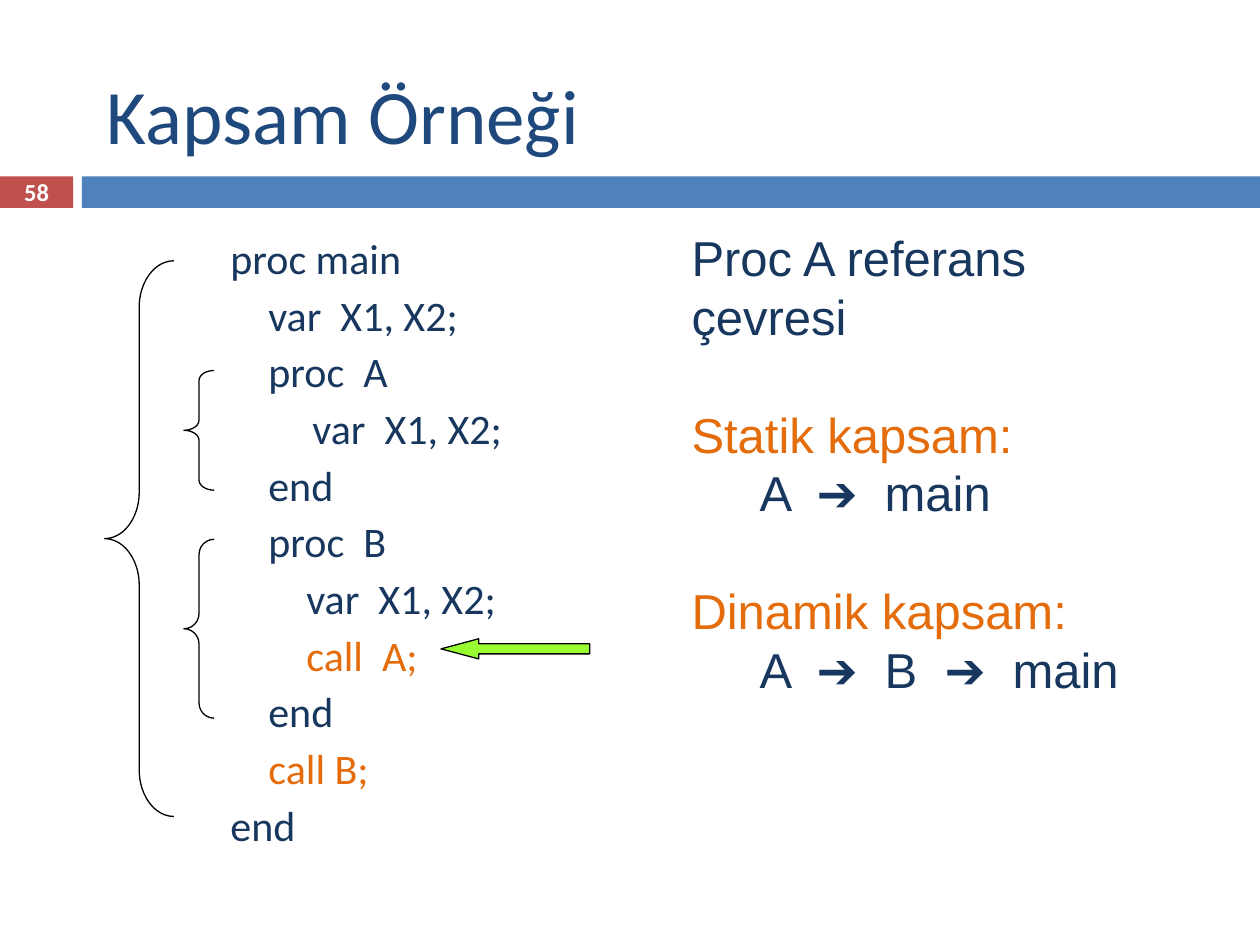
from dataclasses import dataclass

from pptx import Presentation
from pptx.dml.color import RGBColor
from pptx.enum.shapes import MSO_SHAPE
from pptx.enum.text import MSO_ANCHOR, PP_ALIGN
from pptx.util import Emu, Pt

EMU_PER_PX = 9144  # 100 px to the inch
COLORS = {
    "title": "1F497D",
    "text": "17375E",
    "accent": "E46C0A",
    "bar": "4F81BD",
    "badge": "C0504D",
    "arrow": "99FF33",
    "outline": "000000",
    "white": "FFFFFF",
}


@dataclass(frozen=True)
class Box:
    left: int
    top: int
    width: int
    height: int


@dataclass(frozen=True)
class Line:
    text: str
    color: str = "text"
    before: float = 0
    margin: int = 0
    hanging: int = 0


@dataclass(frozen=True)
class Style:
    font: str
    size: int
    bold: bool = False
    spacing: float | Pt | None = None
    anchor: MSO_ANCHOR = MSO_ANCHOR.TOP
    align: PP_ALIGN = PP_ALIGN.LEFT


@dataclass(frozen=True)
class Brace:
    box: Box
    curl: float


def px(length: int) -> Emu:
    return Emu(length * EMU_PER_PX)


def rgb(name: str) -> RGBColor:
    return RGBColor.from_string(COLORS[name])


def place(box: Box) -> tuple[Emu, ...]:
    return px(box.left), px(box.top), px(box.width), px(box.height)


def add_figure(slide, kind: MSO_SHAPE, box: Box, fill: str | None = None,
               outline: str | None = None, adjustments: tuple[float, ...] = ()) -> None:
    figure = slide.shapes.add_shape(kind, *place(box))
    figure.shadow.inherit = False
    for index, value in enumerate(adjustments):
        figure.adjustments[index] = value
    if fill:
        figure.fill.solid()
        figure.fill.fore_color.rgb = rgb(fill)
    else:
        figure.fill.background()
    if outline:
        figure.line.color.rgb = rgb(outline)
        figure.line.width = Pt(0.75)
    else:
        figure.line.fill.background()


def add_text(slide, box: Box, lines: list[Line], style: Style) -> None:
    frame = slide.shapes.add_textbox(*place(box)).text_frame
    frame.word_wrap = True
    frame.vertical_anchor = style.anchor
    for index, line in enumerate(lines):
        paragraph = frame.add_paragraph() if index else frame.paragraphs[0]
        paragraph.alignment = style.align
        if style.spacing:
            paragraph.line_spacing = style.spacing
        if index and line.before:
            paragraph.space_before = Pt(line.before)
        if line.margin:
            properties = paragraph._p.get_or_add_pPr()
            properties.set("marL", str(px(line.margin)))
            properties.set("indent", str(-px(line.hanging)))
        run = paragraph.add_run()
        run.text = line.text
        run.font.name = style.font
        run.font.size = Pt(style.size)
        run.font.bold = style.bold
        run.font.color.rgb = rgb(line.color)


def code_line(text: str) -> Line:
    color = "accent" if "call" in text else "text"
    return Line(text, color, before=6.5, margin=35, hanging=35)


CODE = [
    "proc main",
    "    var  X1, X2;",
    "    proc  A",
    "\t    var  X1, X2;",
    "    end",
    "    proc  B",
    "        var  X1, X2;",
    "        call  A;",
    "    end",
    "    call B;",
    "end",
]

SCOPE_PITCH = 33.6  # points per line of the explanation
SCOPES = [
    Line("Proc A referans"),
    Line("çevresi"),
    Line("Statik kapsam:", "accent", before=SCOPE_PITCH),
    Line("A  ➔  main", margin=54),
    Line("Dinamik kapsam:", "accent", before=SCOPE_PITCH),
    Line("A  ➔  B  ➔  main", margin=54),
]

BRACES = [
    Brace(Box(83, 207, 55, 441), 0.67),  # main
    Brace(Box(146, 294, 24, 95), 0.33),  # A
    Brace(Box(146, 428, 24, 142), 0.5),  # B
]


def main() -> None:
    presentation = Presentation()
    presentation.slide_width, presentation.slide_height = px(1000), px(750)
    slide = presentation.slides.add_slide(presentation.slide_layouts[6])

    # Header band and title
    add_figure(slide, MSO_SHAPE.RECTANGLE, Box(0, 140, 58, 25), fill="badge")
    add_figure(slide, MSO_SHAPE.RECTANGLE, Box(65, 140, 935, 25), fill="bar")
    add_text(slide, Box(75, 28, 850, 125), [Line("Kapsam Örneği", "title")],
             Style("Calibri", 44, anchor=MSO_ANCHOR.MIDDLE))

    # Program with its nested scopes
    add_text(slide, Box(173, 184, 261, 450), [code_line(text) for text in CODE],
             Style("Calibri", 24, spacing=0.9))
    for brace in BRACES:
        add_figure(slide, MSO_SHAPE.LEFT_BRACE, brace.box, outline="outline",
                   adjustments=(brace.curl, 0.5))

    # Static and dynamic scope
    add_text(slide, Box(539, 176, 394, 384), SCOPES,
             Style("Arial", 28, spacing=Pt(SCOPE_PITCH)))

    # Pointer to the call of A
    add_figure(slide, MSO_SHAPE.LEFT_ARROW, Box(350, 507, 118, 16), fill="arrow",
               outline="outline", adjustments=(0.5, 1.87))

    # Slide number
    add_text(slide, Box(0, 139, 58, 27), [Line("58", "white")],
             Style("Calibri", 14, bold=True, anchor=MSO_ANCHOR.MIDDLE,
                   align=PP_ALIGN.CENTER))

    presentation.save("out.pptx")


if __name__ == "__main__":
    main()
